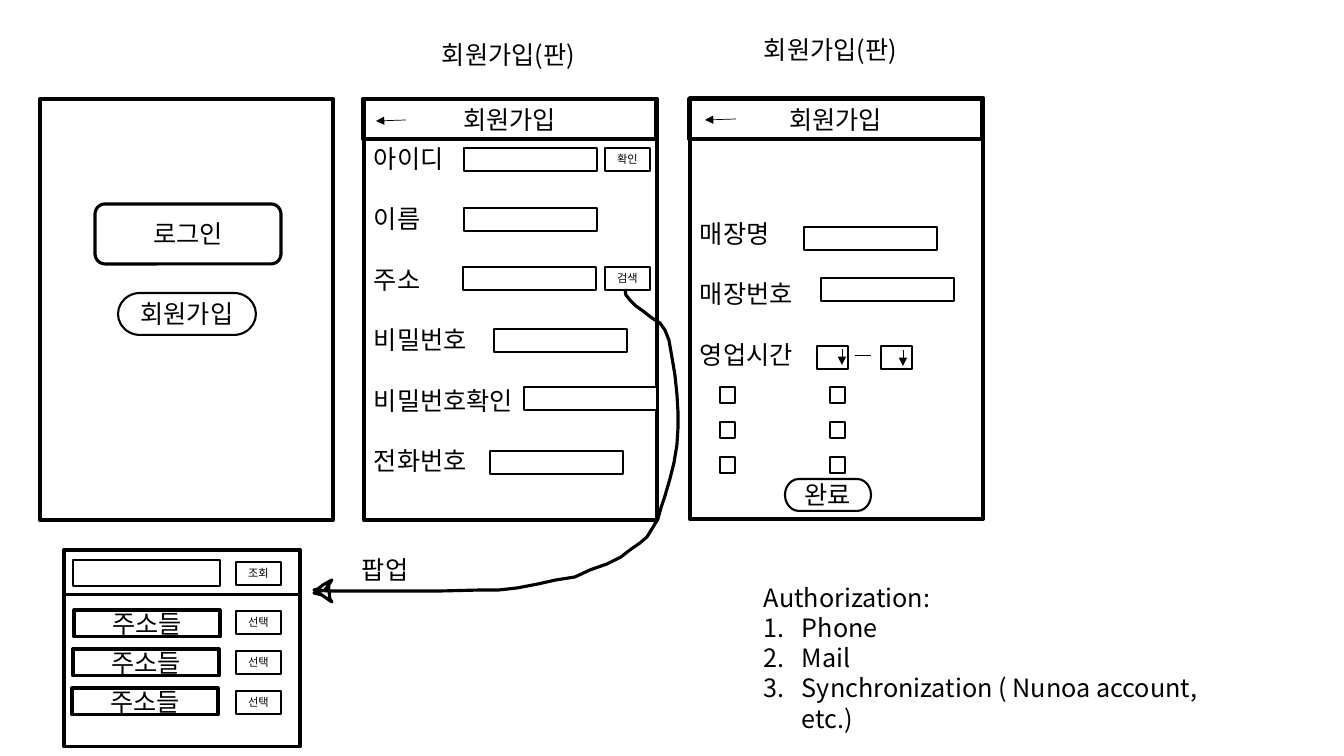
from dataclasses import dataclass

from lxml import etree
from pptx import Presentation
from pptx.dml.color import RGBColor
from pptx.enum.shapes import MSO_CONNECTOR, MSO_SHAPE
from pptx.enum.text import MSO_ANCHOR, PP_ALIGN
from pptx.oxml.ns import qn
from pptx.util import Emu, Pt

RECT = MSO_SHAPE.RECTANGLE
ROUND = MSO_SHAPE.ROUNDED_RECTANGLE
PILL = MSO_SHAPE.FLOWCHART_TERMINATOR
STRAIGHT = MSO_CONNECTOR.STRAIGHT
TOP, MIDDLE = MSO_ANCHOR.TOP, MSO_ANCHOR.MIDDLE
LEFT, CENTER = PP_ALIGN.LEFT, PP_ALIGN.CENTER
BLACK = RGBColor(0, 0, 0)
WHITE = RGBColor(255, 255, 255)
FONT = "Noto Sans CJK KR"
LABEL_GAP = Pt(21.6)
EMU_PER_PX = 914400 / 100.8


def px(n: float) -> Emu:
    return Emu(round(n * EMU_PER_PX))


@dataclass
class Box:
    x: int
    y: int
    w: int
    h: int
    line: float = 1
    text: str = ""
    size: int = 18
    kind: int = RECT
    filled: bool = True
    anchor: int = MIDDLE
    align: int = CENTER
    gap: int = 0
    bottom: int = 5


@dataclass
class Stroke:
    x1: int
    y1: int
    x2: int
    y2: int
    arrow: bool = True


prs = Presentation()
prs.slide_width, prs.slide_height = px(1344), px(756)
s = prs.slides.add_slide(prs.slide_layouts[6])


def write(tf, text: str, size: int = 18, align: int = LEFT, gap: int = 0) -> None:
    tf.word_wrap = True
    for i, line in enumerate(text.split("\n")):
        p = tf.paragraphs[0] if i == 0 else tf.add_paragraph()
        p.alignment = align
        if i and gap:
            p.space_before = gap
        r = p.add_run()
        r.text = line
        for key, value in {"name": FONT, "size": Pt(size)}.items():
            setattr(r.font, key, value)
        r.font.color.rgb = BLACK
        etree.SubElement(r.font._element, qn("a:ea"), typeface=FONT)


def outline(sp, width: float) -> None:
    sp.shadow.inherit = False
    sp.line.color.rgb = BLACK
    sp.line.width = Pt(width)


def draw_box(b: Box) -> None:
    sp = s.shapes.add_shape(b.kind, px(b.x), px(b.y), px(b.w), px(b.h))
    outline(sp, b.line)
    if b.filled:
        sp.fill.solid()
        sp.fill.fore_color.rgb = WHITE
    else:
        sp.fill.background()
    if b.text:
        tf = sp.text_frame
        tf.vertical_anchor = b.anchor
        tf.margin_bottom = px(b.bottom)
        write(tf, b.text, b.size, b.align, b.gap)


def draw_stroke(k: Stroke) -> None:
    c = s.shapes.add_connector(STRAIGHT, px(k.x1), px(k.y1), px(k.x2), px(k.y2))
    c.line.color.rgb = BLACK
    c.line.width = Pt(0.5)
    if k.arrow:
        etree.SubElement(c.line._get_or_add_ln(), qn("a:tailEnd"), type="triangle")
    etree.SubElement(c._element.spPr, qn("a:effectLst"))


def draw_text(x: int, y: int, w: int, h: int, text: str):
    tf = s.shapes.add_textbox(px(x), px(y), px(w), px(h)).text_frame
    write(tf, text)
    return tf


def panel(x: int, y: int, text: str = "", bottom: int = 5) -> Box:
    return Box(x, y, 293, 421, 3, text, align=LEFT, gap=LABEL_GAP, bottom=bottom)


def header(x: int) -> Box:
    return Box(x, 99, 293, 40, 3, "회원가입", filled=False, anchor=TOP)


def field(x: int, y: int) -> Box:
    return Box(x, y, 133, 23)


def button(x: int, y: int, text: str) -> Box:
    return Box(x, y, 45, 23, text=text, size=8)


start_screen = [
    panel(40, 99),
    Box(95, 204, 186, 60, 2.25, "로그인", kind=ROUND),
    Box(118, 293, 138, 42, 1.5, "회원가입", kind=PILL),
]
member_screen = [
    panel(364, 99, "아이디\n이름\n주소\n비밀번호\n비밀번호확인\n전화번호"),
    header(363),
    *[field(x, y) for x, y in
      [(464, 148), (464, 208), (463, 267), (494, 329), (524, 387), (490, 451)]],
    button(605, 148, "확인"),
    button(605, 267, "검색"),
]
store_screen = [
    panel(690, 98, "매장명\n매장번호\n영업시간", bottom=35),
    header(689),
    field(804, 227),
    field(821, 278),
    *[Box(x, 346, 31, 23) for x in (817, 881)],
    *[Box(x, 387 + 35 * row, 15, 16) for x in (720, 830) for row in range(3)],
    Box(785, 479, 86, 32, 1.5, "완료", kind=PILL),
]
address_popup = [
    Box(64, 550, 236, 197, 2.25),
    Box(64, 550, 236, 45, 2.25, filled=False),
    Box(73, 560, 147, 26),
    button(236, 562, "조회"),
    *[Box(74 - i, 610 + 39 * i, 146, 27, 2.25, "주소들") for i in range(3)],
    *[button(236, 611 + 40 * i, "선택") for i in range(3)],
]

# Screens and popup
for b in start_screen + member_screen + store_screen + address_popup:
    draw_box(b)

# Back arrows, opening hours dash and dropdown arrows
for k in [
    Stroke(406, 120, 376, 121),
    Stroke(736, 119, 705, 120),
    Stroke(855, 355, 871, 355, arrow=False),
    Stroke(842, 349, 842, 365),
    Stroke(903, 350, 903, 366),
]:
    draw_stroke(k)

# Hand-drawn arrow from the search button to the popup
ARROW = [
    (625, 289), (626, 295), (630, 300), (636, 306), (643, 311), (652, 318),
    (660, 323), (665, 330), (669, 340), (672, 357), (675, 375), (677, 394),
    (678, 411), (678, 429), (677, 445), (674, 463), (670, 479), (665, 496),
    (661, 508), (658, 519), (652, 529), (647, 537), (640, 543), (630, 550),
    (621, 557), (607, 564), (590, 570), (575, 577), (556, 580), (538, 584),
    (517, 588), (499, 590), (482, 590), (442, 591), (328, 591), (314, 590),
    (318, 589), (323, 585), (332, 580), (328, 586), (325, 590), (314, 593),
    (322, 595), (329, 600), (332, 602), (330, 599), (329, 591), (329, 586),
]
fb = s.shapes.build_freeform(*ARROW[0], scale=EMU_PER_PX)
fb.add_line_segments(ARROW[1:], close=False)
sp = fb.convert_to_shape()
sp.fill.background()
outline(sp, 2.25)

# Captions
draw_text(432, 34, 156, 40, "회원가입(판)")
draw_text(754, 29, 156, 40, "회원가입(판)")
draw_text(352, 549, 97, 40, "팝업")

# Authorization list
tf = draw_text(754, 577, 499, 132,
               "Authorization:\nPhone\nMail\nSynchronization ( Nunoa account, etc.)")
for p in tf.paragraphs[1:]:
    pPr = p._p.get_or_add_pPr()
    pPr.set("marL", str(px(38)))
    pPr.set("indent", str(-px(38)))
    etree.SubElement(pPr, qn("a:buFont"), typeface="+mj-lt")
    etree.SubElement(pPr, qn("a:buAutoNum"), type="arabicPeriod")

prs.save("out.pptx")
